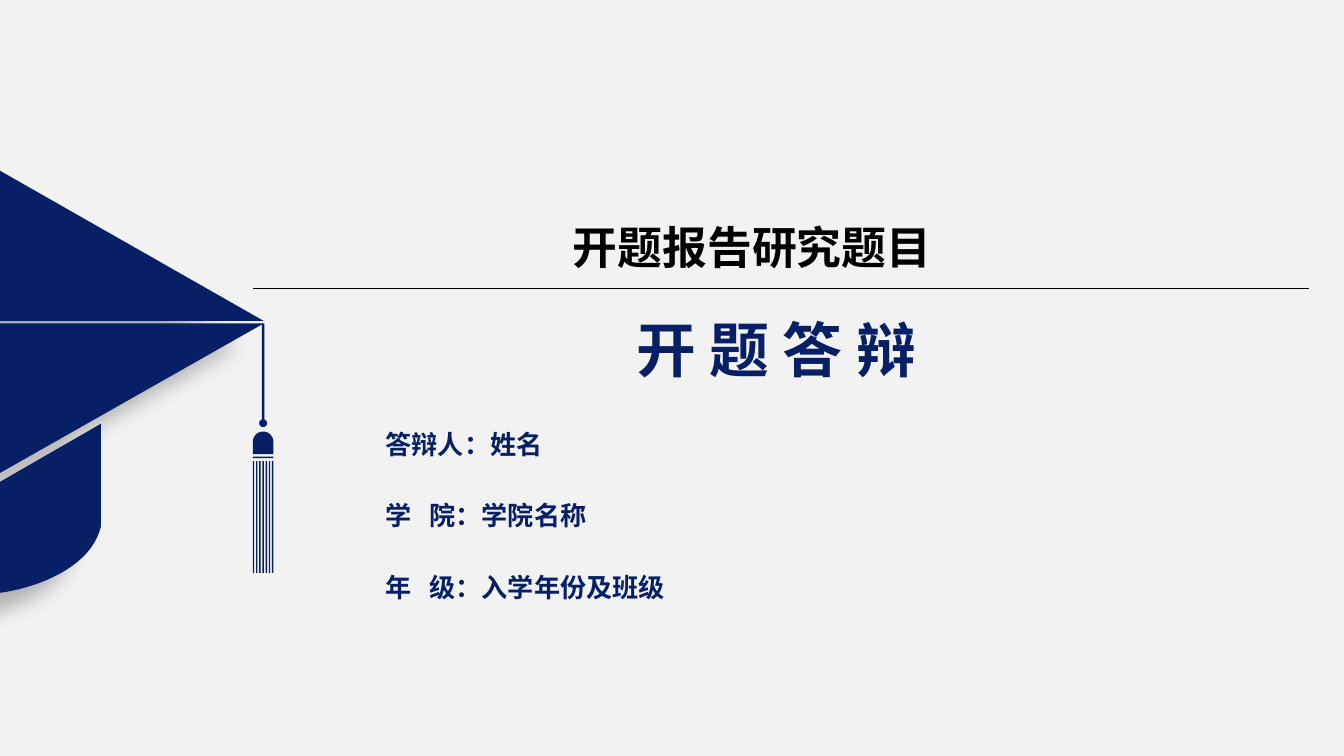
import math

from lxml import etree
from pptx import Presentation
from pptx import util as u
from pptx.dml.color import RGBColor
from pptx.enum import shapes, text
from pptx.oxml import ns

NAVY = RGBColor(0x07, 0x1F, 0x65)
BLACK = RGBColor(0, 0, 0)
PAPER = RGBColor(0xF2, 0xF2, 0xF2)
FONT = "Noto Sans CJK SC"


def arc(center_x, center_y, radius, start, end, steps=24):
    """Points along a circle; angles in degrees, clockwise from the right."""
    angles = [math.radians(start + (end - start) * i / steps) for i in range(steps + 1)]
    return [(center_x + radius * math.cos(a), center_y + radius * math.sin(a))
            for a in angles]


def bezier(a, b, c, d, steps=24):
    """Points along a cubic curve from a to d."""
    def point(t):
        weights = ((1 - t) ** 3, 3 * t * (1 - t) ** 2, 3 * t * t * (1 - t), t ** 3)
        return tuple(sum(w * p[axis] for w, p in zip(weights, (a, b, c, d)))
                     for axis in (0, 1))
    return [point(i / steps) for i in range(steps + 1)]


def box(left, top, right, bottom):
    return [(left, top), (right, top), (right, bottom), (left, bottom)]


class CoverSlide:
    def __init__(self, presentation):
        self.slide = presentation.slides.add_slide(presentation.slide_layouts[5])
        background = self.slide.background.fill
        background.solid()
        background.fore_color.rgb = PAPER

    def format_text(self, shape, content, size, color, align, spacing=None, tab=None):
        frame = shape.text_frame
        frame.text = content
        frame.word_wrap = True
        frame.auto_size = text.MSO_AUTO_SIZE.SHAPE_TO_FIT_TEXT
        frame.vertical_anchor = text.MSO_ANCHOR.MIDDLE
        frame.margin_left = frame.margin_right = u.Pt(5)
        frame.margin_top = frame.margin_bottom = u.Pt(2.7)
        paragraph = frame.paragraphs[0]
        paragraph.alignment = align
        if spacing:
            paragraph.line_spacing = spacing
        if tab:
            tabs = etree.SubElement(paragraph._p.get_or_add_pPr(), ns.qn("a:tabLst"))
            etree.SubElement(tabs, ns.qn("a:tab"), pos=str(u.Pt(tab)), algn="l")
        for run in paragraph.runs:
            font = run.font
            font.size, font.bold, font.name = u.Pt(size), True, FONT
            font.color.rgb = color
            latin = run._r.rPr.find(ns.qn("a:latin"))
            latin.addnext(latin.makeelement(ns.qn("a:ea"), {"typeface": FONT}))

    def title(self, content, left, top, width, height, **style):
        shape = self.slide.shapes.title
        shape.left, shape.top = u.Pt(left), u.Pt(top)
        shape.width, shape.height = u.Pt(width), u.Pt(height)
        self.format_text(shape, content, **style)

    def label(self, content, left, top, width, height, **style):
        shape = self.slide.shapes.add_textbox(
            u.Pt(left), u.Pt(top), u.Pt(width), u.Pt(height))
        self.format_text(shape, content, **style)

    def rule(self, left, right, y):
        line = self.slide.shapes.add_connector(
            shapes.MSO_CONNECTOR.STRAIGHT, u.Pt(left), u.Pt(y), u.Pt(right), u.Pt(y))
        line.line.color.rgb = BLACK
        line.line.width = u.Pt(0.5)
        etree.SubElement(line._element.spPr, ns.qn("a:effectLst"))

    def outline(self, contours):
        """One navy shape made of several closed contours."""
        contours = [[(u.Pt(x), u.Pt(y)) for x, y in contour] for contour in contours]
        builder = self.slide.shapes.build_freeform(*contours[0][0])
        for index, contour in enumerate(contours):
            if index:
                builder.move_to(*contour[0])
            builder.add_line_segments(contour[1:], close=True)
        shape = builder.convert_to_shape()
        shape.fill.solid()
        shape.fill.fore_color.rgb = NAVY
        shape.line.fill.background()
        shape.shadow.inherit = False
        return shape

    def cast_shadow(self, shape, blur, distance, angle, opacity):
        effects = shape._element.spPr.find(ns.qn("a:effectLst"))
        shadow = etree.SubElement(
            effects, ns.qn("a:outerShdw"), blurRad=str(u.Pt(blur)),
            dist=str(u.Pt(distance)), dir=str(angle * 60000), rotWithShape="0")
        color = etree.SubElement(shadow, ns.qn("a:srgbClr"), val=str(BLACK))
        etree.SubElement(color, ns.qn("a:alpha"), val=str(opacity * 1000))


def main():
    presentation = Presentation()
    presentation.slide_width, presentation.slide_height = u.Pt(720), u.Pt(405)
    cover = CoverSlide(presentation)
    left, center = text.PP_ALIGN.LEFT, text.PP_ALIGN.CENTER

    # Title and rule
    cover.title("开题报告研究题目", 86.4, 103, 633, 44,
                size=24, color=BLACK, align=center, spacing=1.5)
    cover.rule(135.5, 701.3, 154.6)

    # Graduation cap: board in two halves, then the base
    cap = cover.outline([
        [(0, 91.5), (141.3, 172), (0, 172)],
        [(141.3, 173.3), (0, 253.4), (0, 173.3)],
        [(0, 258.2), (54, 227.1)]
        + bezier((54, 282.3), (48, 306.7), (13.7, 316), (0, 317.6)),
    ])
    cover.cast_shadow(cap, blur=11.8, distance=19.7, angle=141, opacity=28)

    # Tassel: cord, bead, head, band and threads
    middle, half, thread, count = 141, 5.5, 0.75, 7
    start, end = middle - half, middle + half
    pitch = (2 * half - thread) / (count - 1)
    threads = [box(start + i * pitch, 247, start + i * pitch + thread, 306.9)
               for i in range(count)]
    cover.outline([
        box(middle - 0.7, 173.3, middle + 0.7, 224.7),
        arc(middle, 226.7, 2.1, 0, 360),
        arc(middle, 236.7, half, 180, 360) + [(end, 243.3), (start, 243.3)],
        box(start, 244.7, end, 245.5),
        *threads,
    ])

    # Subtitle and presenter details
    cover.label("开 题 答 辩", 227.5, 165, 376.5, 44, size=32, color=NAVY, align=center)
    details = ["答辩人：姓名", "学\t院：学院名称", "年\t级：入学年份及班级"]
    for row, detail in enumerate(details):
        cover.label(detail, 201.6, 226.8 + row * 38.2, 186.5, 22.3,
                    size=14, color=NAVY, align=left, tab=23.5)

    presentation.save("out.pptx")


if __name__ == "__main__":
    main()
